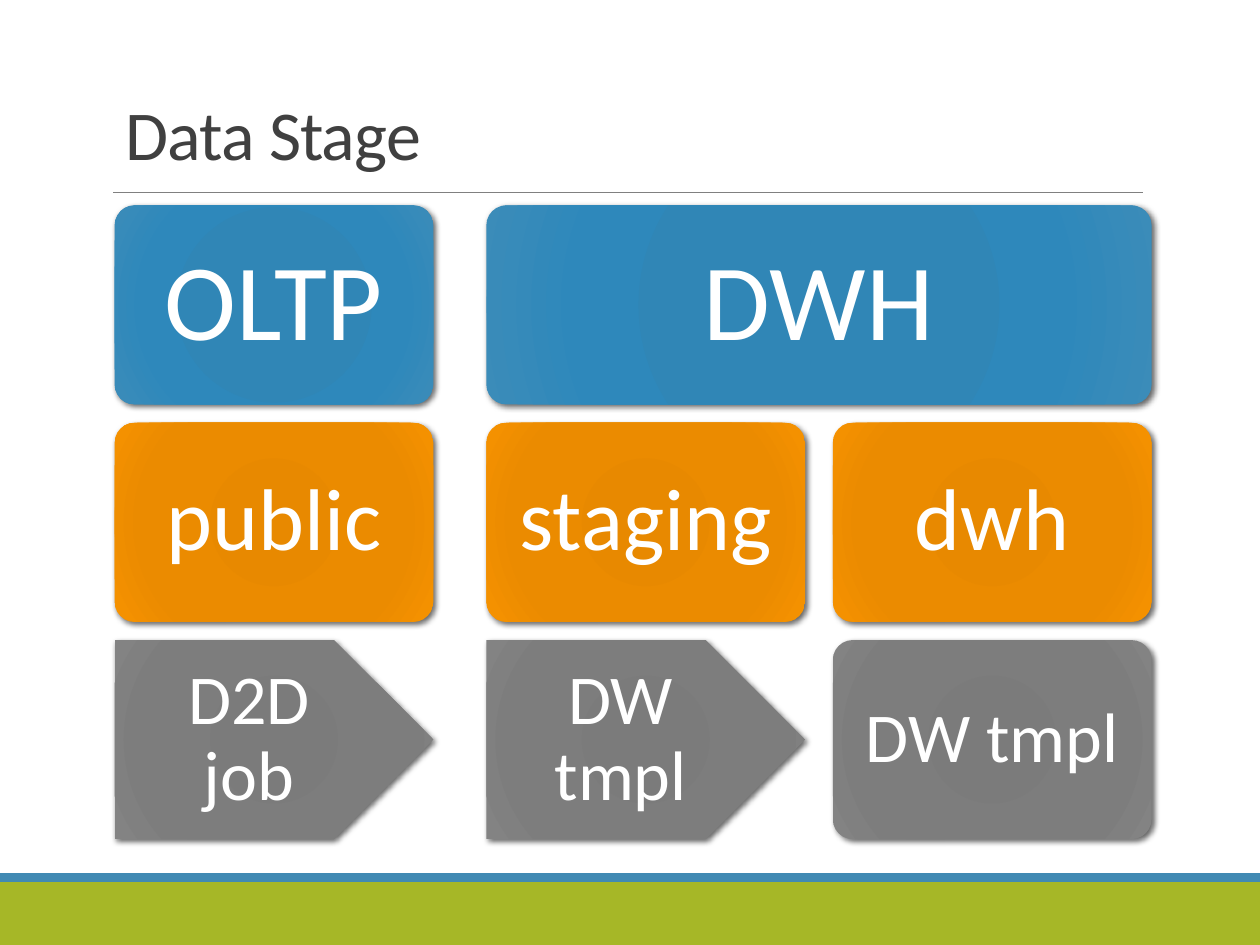
"""Build the Data Stage slide: databases, schemas and jobs in a three-row grid."""
from dataclasses import dataclass

import lxml.etree
import pptx
import pptx.dml.color
import pptx.enum.shapes
import pptx.enum.text
import pptx.oxml
import pptx.oxml.ns
import pptx.util

Inches = pptx.util.Inches
Pt = pptx.util.Pt
RGBColor = pptx.dml.color.RGBColor
Shape = pptx.enum.shapes.MSO_SHAPE
Anchor = pptx.enum.text.MSO_ANCHOR
Align = pptx.enum.text.PP_ALIGN
qn = pptx.oxml.ns.qn

WHITE = RGBColor(0xFF, 0xFF, 0xFF)
TITLE_GRAY = RGBColor(0x40, 0x40, 0x40)
RULE_GRAY = RGBColor(0x80, 0x80, 0x80)
GREEN = RGBColor(0xA6, 0xB7, 0x27)
BLUE = RGBColor(0x41, 0x8A, 0xB3)
BLACK = RGBColor(0, 0, 0)
BLUE_SHADES = tuple(map(RGBColor.from_string, ("2D85B7", "3086B6", "2E88BB", "3B8CB9")))
ORANGE_SHADES = tuple(map(RGBColor.from_string, ("E58800", "E88900", "EB8B00", "F69200")))
GRAY_SHADES = tuple(map(RGBColor.from_string, ("7A7A7A", "7B7B7B", "7D7D7D", "838383")))
SHADE_STOPS = (0, 34, 70, 100)

FONT = "Calibri"
COLUMN_LEFTS = (0.91, 3.86, 6.61)
GRID_TOP, ROW_PITCH = 1.63, 1.725
BOX_WIDTH, BOX_HEIGHT = 2.53, 1.58


@dataclass(frozen=True)
class Level:
    shades: tuple
    size: int
    inset: float


@dataclass(frozen=True)
class Box:
    text: str
    row: int
    column: int
    last_column: int
    kind: Shape = Shape.ROUNDED_RECTANGLE


LEVELS = (
    Level(BLUE_SHADES, 62, 0.26),
    Level(ORANGE_SHADES, 50, 0.21),
    Level(GRAY_SHADES, 40, 0.17),
)
BOXES = (
    Box("OLTP", 0, 0, 0),
    Box("public", 1, 0, 0),
    Box("D2D job", 2, 0, 0, Shape.PENTAGON),
    Box("DWH", 0, 1, 2),
    Box("staging", 1, 1, 1),
    Box("DW tmpl", 2, 1, 1, Shape.PENTAGON),
    Box("dwh", 1, 2, 2),
    Box("DW tmpl", 2, 2, 2),
)


def add_band(slide, top: float, height: float, color: RGBColor) -> None:
    """Draw a full-width footer band."""
    band = slide.shapes.add_shape(
        Shape.RECTANGLE, 0, Inches(top), Inches(10), Inches(height))
    band.shadow.inherit = False
    band.fill.solid()
    band.fill.fore_color.rgb = color
    band.line.fill.background()


def add_rule(slide) -> None:
    """Draw the thin line below the title."""
    rule = slide.shapes.add_connector(
        pptx.enum.shapes.MSO_CONNECTOR.STRAIGHT,
        Inches(0.9), Inches(1.53), Inches(9.07), Inches(1.53))
    rule.line.color.rgb = RULE_GRAY
    rule.line.width = Pt(0.5)
    lxml.etree.SubElement(rule._element.spPr, qn("a:effectLst"))


def format_text(frame, size: int, color: RGBColor, spacing: float) -> None:
    """Style the single paragraph of a text frame."""
    frame.word_wrap = True
    paragraph = frame.paragraphs[0]
    paragraph.line_spacing = spacing
    font = paragraph.runs[0].font
    font.name = FONT
    font.size = Pt(size)
    font.color.rgb = color


def add_title(slide, text: str) -> None:
    """Write the slide title."""
    title = slide.shapes.add_textbox(
        Inches(0.9), Inches(0.31), Inches(8.25), Inches(1.13))
    frame = title.text_frame
    frame.text = text
    frame.vertical_anchor = Anchor.BOTTOM
    format_text(frame, 40, TITLE_GRAY, 0.85)
    frame.paragraphs[0].runs[0].font._element.set("spc", "-50")


def apply_radial_fill(shape, shades: tuple) -> None:
    """Fill a shape with a circular gradient."""
    stops = "".join(
        f'<a:gs pos="{stop * 1000}"><a:srgbClr val="{shade}"/></a:gs>'
        for stop, shade in zip(SHADE_STOPS, shades))
    gradient = pptx.oxml.parse_xml(
        f'<a:gradFill {pptx.oxml.ns.nsdecls("a")} rotWithShape="1"><a:gsLst>{stops}</a:gsLst>'
        '<a:path path="circle"><a:fillToRect l="100000" t="100000" r="100000" b="100000"/>'
        '</a:path></a:gradFill>')
    shape._element.spPr.find(qn("a:prstGeom")).addnext(gradient)


def apply_shadow(shape) -> None:
    """Give a shape a soft shadow to the lower right."""
    shape.shadow.inherit = False
    shadow = pptx.oxml.parse_xml(
        f'<a:outerShdw {pptx.oxml.ns.nsdecls("a")} blurRad="{Pt(3.5)}" dist="{Pt(2)}"'
        f' dir="2700000" algn="br" rotWithShape="0"><a:srgbClr val="{BLACK}">'
        '<a:alpha val="60000"/></a:srgbClr></a:outerShdw>')
    shape._element.spPr.find(qn("a:effectLst")).append(shadow)


def add_box(slide, box: Box) -> None:
    """Draw one labelled box of the grid."""
    level = LEVELS[box.row]
    left = COLUMN_LEFTS[box.column]
    width = COLUMN_LEFTS[box.last_column] + BOX_WIDTH - left
    shape = slide.shapes.add_shape(
        box.kind, Inches(left), Inches(GRID_TOP + box.row * ROW_PITCH),
        Inches(width), Inches(BOX_HEIGHT))
    shape.adjustments[0] = 0.1 if box.kind == Shape.ROUNDED_RECTANGLE else 0.5
    shape.line.fill.background()
    apply_radial_fill(shape, level.shades)
    apply_shadow(shape)

    frame = shape.text_frame
    frame.text = box.text
    frame.vertical_anchor = Anchor.MIDDLE
    frame.margin_left = frame.margin_right = Inches(level.inset)
    frame.margin_top = frame.margin_bottom = Inches(level.inset)
    format_text(frame, level.size, WHITE, 0.9)
    frame.paragraphs[0].alignment = Align.CENTER


def main() -> None:
    """Assemble and save the slide."""
    deck = pptx.Presentation()
    deck.slide_width = Inches(10)
    deck.slide_height = Inches(7.5)
    slide = deck.slides.add_slide(deck.slide_layouts[6])
    add_band(slide, 7, 0.5, GREEN)
    add_band(slide, 6.93, 0.07, BLUE)
    add_rule(slide)
    add_title(slide, "Data Stage")
    for box in BOXES:
        add_box(slide, box)
    deck.save("out.pptx")


if __name__ == "__main__":
    main()
